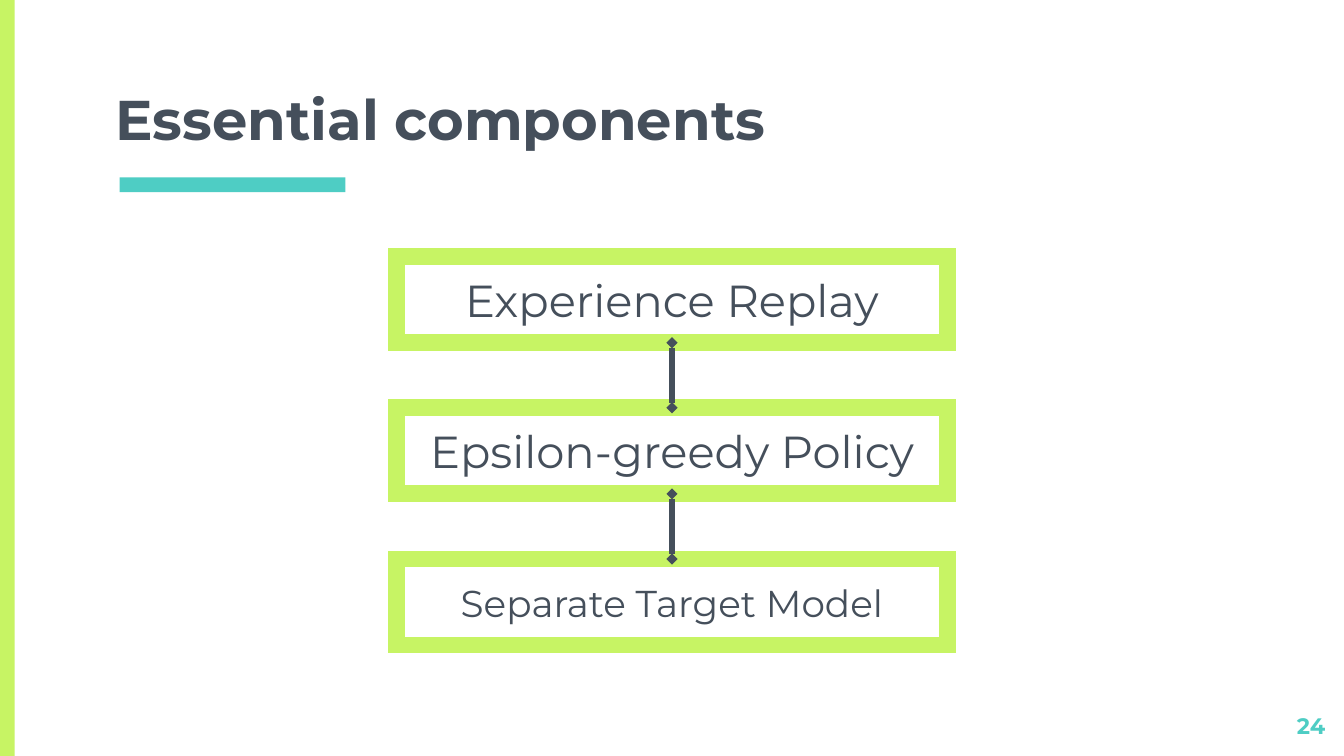
from lxml import etree
from pptx import Presentation
from pptx import util as u
from pptx.dml.color import RGBColor
from pptx.enum import shapes, text
from pptx.oxml.ns import qn

TITLE = "Essential components"
COMPONENTS = [("Experience Replay", 24), ("Epsilon-greedy Policy", 24), ("Separate Target Model", 20)]
PAGE_NUMBER = "24"
LIME, TEAL, SLATE = "C7F464", "4ECDC4", "454F5B"
SLIDE_WIDTH = 10
SLIDE_HEIGHT = SLIDE_WIDTH * 9 / 16
BARS = [((0, 0, 0.11, SLIDE_HEIGHT), LIME), ((0.89, 1.32, 1.68, 0.11), TEAL)]
BOX_TOP, LAST_BOX_TOP, BOX_WIDTH, BOX_HEIGHT = 1.91, 4.16, 4.1, 0.64
BOX_LEFT = (SLIDE_WIDTH - BOX_WIDTH) / 2
BOX_STEP = (LAST_BOX_TOP - BOX_TOP) / (len(COMPONENTS) - 1)


def color(value):
    """Turn a hex string into a colour."""
    return RGBColor.from_string(value)


def inches(*values):
    """Convert several numbers to lengths."""
    return [u.Inches(value) for value in values]


def write(shape, content, size, fill, align, anchor, bold=False):
    """Set and format the single paragraph of a shape."""
    frame = shape.text_frame
    frame.text = content
    frame.word_wrap = True
    frame.auto_size = text.MSO_AUTO_SIZE.NONE
    frame.vertical_anchor = anchor
    frame.margin_left = frame.margin_right = frame.margin_top = frame.margin_bottom = u.Inches(0.1)
    paragraph = frame.paragraphs[0]
    paragraph.alignment = align
    font = paragraph.runs[0].font
    font.name, font.size, font.bold = "Montserrat", u.Pt(size), bold
    font.color.rgb = color(fill)


def add_rectangle(slide, place):
    """Add a rectangle without a shadow."""
    shape = slide.shapes.add_shape(shapes.MSO_SHAPE.RECTANGLE, *inches(*place))
    shape.shadow.inherit = False
    return shape


def add_bar(slide, place, fill):
    """Add a solid bar."""
    bar = add_rectangle(slide, place)
    bar.fill.solid()
    bar.fill.fore_color.rgb = color(fill)
    bar.line.fill.background()


def add_component(slide, top, label, size):
    """Add an outlined box with its label."""
    box = add_rectangle(slide, (BOX_LEFT, top, BOX_WIDTH, BOX_HEIGHT))
    box.fill.background()
    box.line.color.rgb = color(LIME)
    box.line.width = u.Pt(9)
    etree.SubElement(box.line._get_or_add_ln(), qn("a:miter"), lim="800000")
    write(box, label, size, SLATE, text.PP_ALIGN.CENTER, text.MSO_ANCHOR.MIDDLE)


def add_link(slide, x, top, bottom):
    """Add a vertical line with small diamond ends."""
    link = slide.shapes.add_connector(shapes.MSO_CONNECTOR.STRAIGHT, *inches(x, top, x, bottom))
    link.line.color.rgb = color(SLATE)
    link.line.width = u.Pt(3)
    outline = link.line._get_or_add_ln()
    for end in ("a:headEnd", "a:tailEnd"):
        etree.SubElement(outline, qn(end), type="diamond", w="sm", len="sm")
    etree.SubElement(link._element.spPr, qn("a:effectLst"))


def main():
    """Build the slide and save it."""
    presentation = Presentation()
    presentation.slide_width, presentation.slide_height = inches(SLIDE_WIDTH, SLIDE_HEIGHT)
    slide = presentation.slides.add_slide(presentation.slide_layouts[5])
    for place, fill in BARS:
        add_bar(slide, place, fill)

    title = slide.shapes.title
    title.left, title.top, title.width, title.height = inches(0.76, 0.69, 8.49, 0.54)
    write(title, TITLE, 30, SLATE, text.PP_ALIGN.LEFT, text.MSO_ANCHOR.BOTTOM, bold=True)

    tops = [BOX_TOP + index * BOX_STEP for index in range(len(COMPONENTS))]
    for top, (label, size) in zip(tops, COMPONENTS):
        add_component(slide, top, label, size)
    for top, next_top in zip(tops, tops[1:]):
        add_link(slide, SLIDE_WIDTH / 2, top + BOX_HEIGHT, next_top)

    number = slide.shapes.add_textbox(*inches(9.36, 5.2, 0.6, 0.34))
    write(number, PAGE_NUMBER, 12, TEAL, text.PP_ALIGN.RIGHT, text.MSO_ANCHOR.TOP, bold=True)
    presentation.save("out.pptx")


if __name__ == "__main__":
    main()
